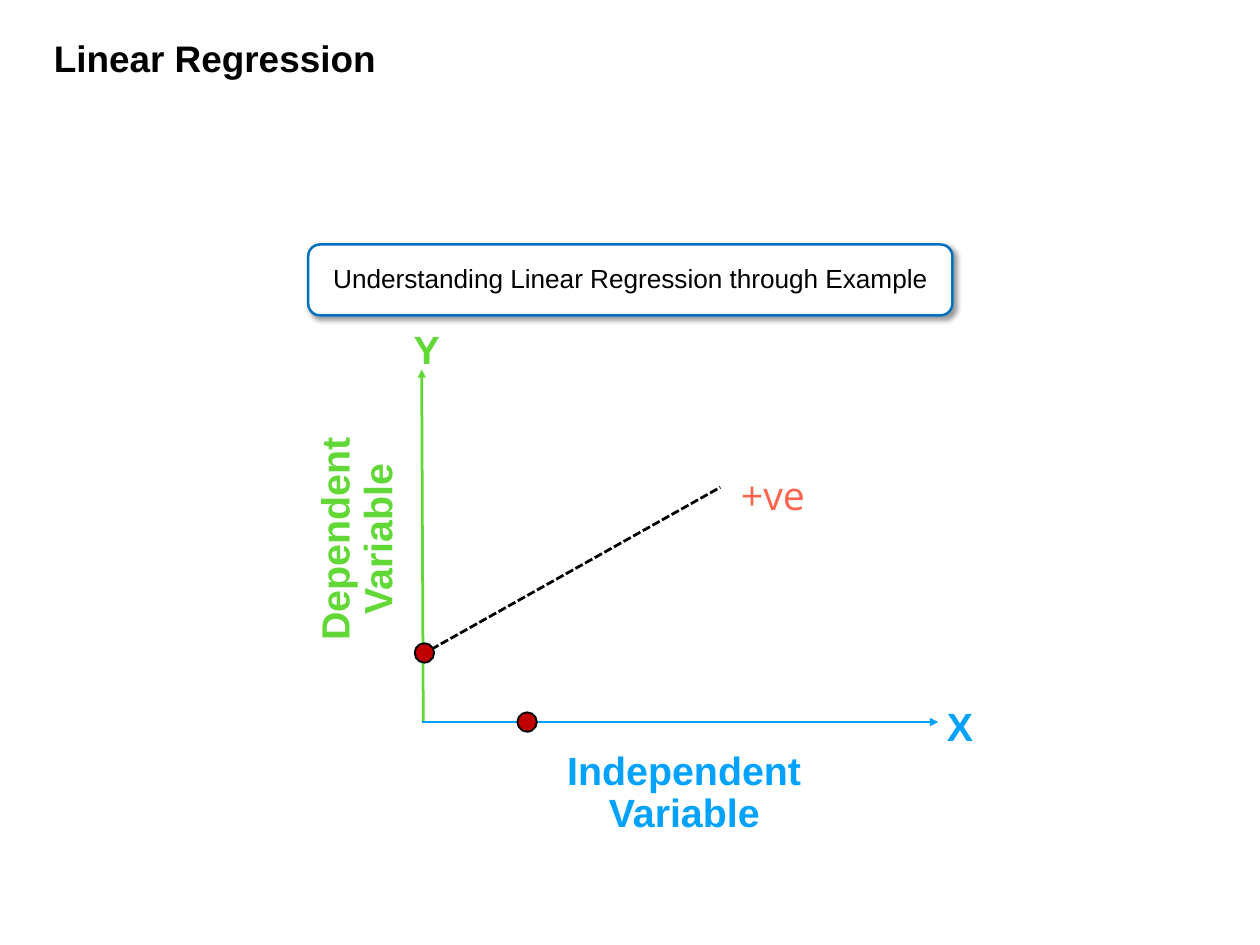
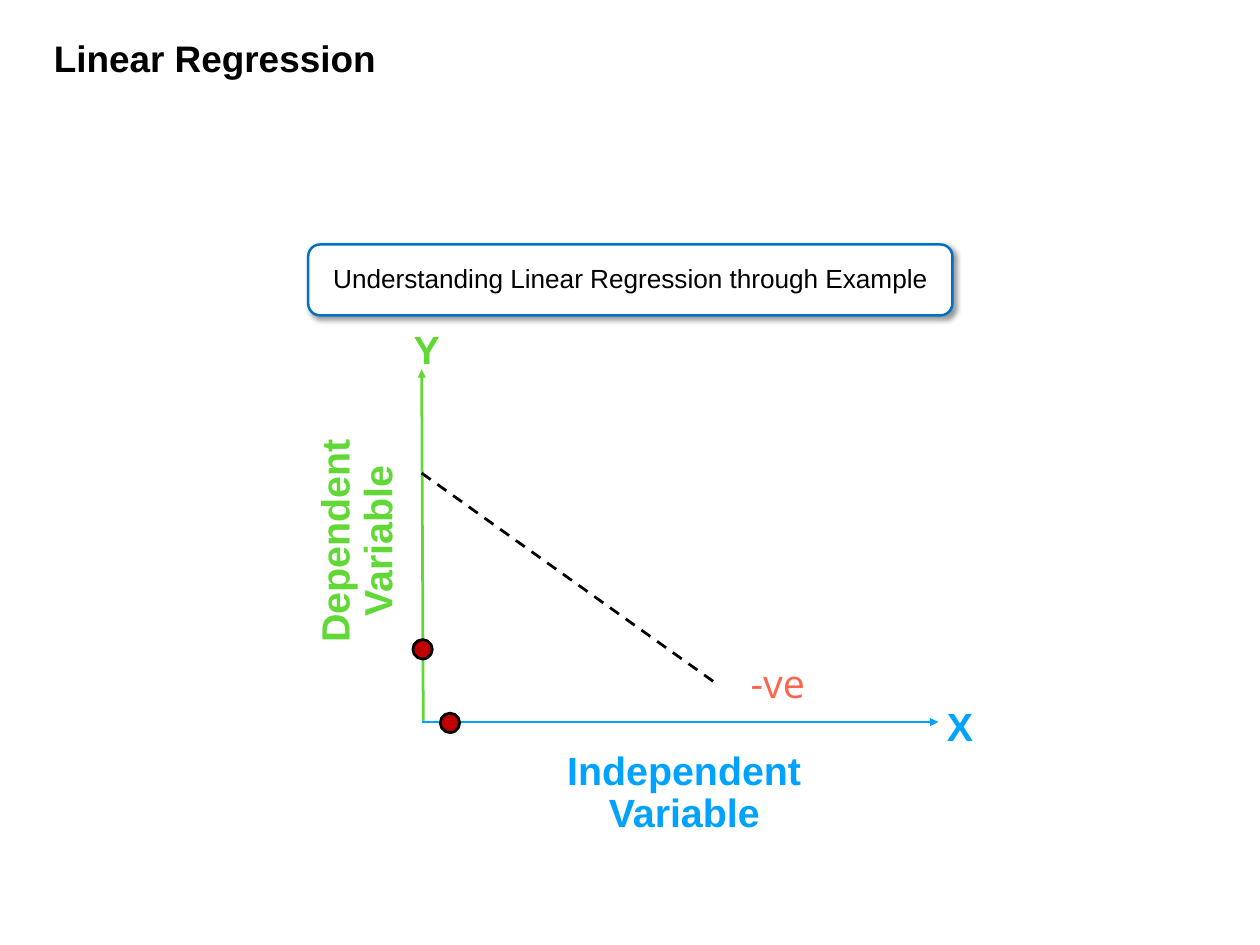
from pptx import Presentation
from pptx.dml.color import RGBColor
from pptx.enum.dml import MSO_LINE_DASH_STYLE as Dash
from pptx.enum.shapes import MSO_CONNECTOR, MSO_SHAPE
from pptx.enum.text import MSO_ANCHOR, MSO_AUTO_SIZE, PP_ALIGN
from pptx.oxml import parse_xml
from pptx.oxml.ns import nsdecls
from pptx.util import Pt

COLORS = {
    "ink": "000000",
    "paper": "FFFFFF",
    "border": "0070C0",
    "dependent": "61D836",
    "independent": "00A2FF",
    "point": "C00000",
    "slope": "FF644E",
}
LEFT, CENTER = PP_ALIGN.LEFT, PP_ALIGN.CENTER
TITLE = ("Linear Regression", (36.7, 29.5, 528.5, 40.3))
CARD = ("Understanding Linear Regression through Example", (250.5, 198.7, 523.5, 57.6))
AXES = [
    ((344, 586.8), (342.7, 300.2), "dependent"),
    ((342.7, 586.8), (762.5, 586.8), "independent"),
]
AXIS_LABELS = [
    ("Independent Variable", (436.3, 607, 239.8, 77), "independent", CENTER),
    ("X", (762.5, 571, 59, 42.5), "independent", LEFT),
    ("Y", (329, 265, 28, 42.5), "dependent", CENTER),
]
POINT_SIZE = 15.8
CASES = [
    {
        "slope": ("+ve", (579.6, 383.8, 97.2, 42.5)),
        "trend": ((342.7, 532.1), (585.4, 396)),
        "dash": Dash.SQUARE_DOT,
        "points": [(420.5, 578.9), (337, 522.7)],
        "outline": 1.5,
        "dependent_top": 399.6,
    },
    {
        "slope": ("-ve", (584.6, 536.4, 95, 42.5)),
        "trend": ((342.7, 384.5), (584.6, 557.3)),
        "dash": Dash.DASH,
        "points": [(357.8, 579.6), (335.5, 519.8)],
        "outline": 2.25,
        "dependent_top": 401,
    },
]


def rgb(color):
    return RGBColor.from_string(COLORS[color])


def points(lengths):
    return [Pt(length) for length in lengths]


def write(frame, text, size, color, align, bold=False, font="Arial"):
    frame.word_wrap = True
    frame.text = text
    paragraph = frame.paragraphs[0]
    paragraph.alignment = align
    paragraph.line_spacing = 0.9
    paragraph.space_before = Pt(0)
    style = paragraph.runs[0].font
    style.name, style.size, style.bold = font, Pt(size), bold
    style.color.rgb = rgb(color)


def add_label(slide, text, box, color, align, size=32, bold=True, font="Arial"):
    label = slide.shapes.add_textbox(*points(box))
    write(label.text_frame, text, size, color, align, bold, font)
    label.text_frame.auto_size = MSO_AUTO_SIZE.SHAPE_TO_FIT_TEXT
    return label


def add_line(slide, start, end, color, dash=None):
    line = slide.shapes.add_connector(MSO_CONNECTOR.STRAIGHT, *points(start + end))
    line.line.color.rgb = rgb(color)
    line.line.width = Pt(2.25)
    if dash:
        line.line.dash_style = dash
    else:
        line.line._get_or_add_ln().append(
            parse_xml(f'<a:tailEnd {nsdecls("a")} type="triangle"/>'))
    line._element.spPr.append(parse_xml(f'<a:effectLst {nsdecls("a")}/>'))


def add_block(slide, preset, box, fill, outline, width):
    block = slide.shapes.add_shape(preset, *points(box))
    block.shadow.inherit = False
    block.fill.solid()
    block.fill.fore_color.rgb = rgb(fill)
    block.line.color.rgb = rgb(outline)
    block.line.width = Pt(width)
    return block


def add_card(slide):
    text, box = CARD
    card = add_block(slide, MSO_SHAPE.ROUNDED_RECTANGLE, box, "paper", "border", 2)
    effects = card._element.spPr.find("{*}effectLst")
    effects.append(parse_xml(
        f'<a:outerShdw {nsdecls("a")} blurRad="{Pt(4)}" dist="{Pt(3)}" dir="2700000"'
        f' algn="tl" rotWithShape="0"><a:srgbClr val="{COLORS["ink"]}">'
        '<a:alpha val="40000"/></a:srgbClr></a:outerShdw>'))
    write(card.text_frame, text, 21.3, "ink", CENTER)
    card.text_frame.vertical_anchor = MSO_ANCHOR.MIDDLE


def add_case(slide, case):
    add_label(slide, *TITLE, "ink", LEFT, size=30)
    add_card(slide)
    for label in AXIS_LABELS:
        add_label(slide, *label)
    dependent = add_label(slide, "Dependent Variable",
                          (199.4, case["dependent_top"], 184.3, 77), "dependent", CENTER)
    dependent.rotation = 270
    for axis in AXES:
        add_line(slide, *axis)
    add_line(slide, *case["trend"], "ink", case["dash"])
    for corner in case["points"]:
        add_block(slide, MSO_SHAPE.OVAL, corner + (POINT_SIZE, POINT_SIZE),
                  "point", "ink", case["outline"])
    add_label(slide, *case["slope"], "slope", CENTER, bold=False, font="Open Sans")


def main():
    deck = Presentation()
    deck.slide_width, deck.slide_height = Pt(1024), Pt(768)
    for case in CASES:
        add_case(deck.slides.add_slide(deck.slide_layouts[6]), case)
    deck.save("out.pptx")


if __name__ == "__main__":
    main()
